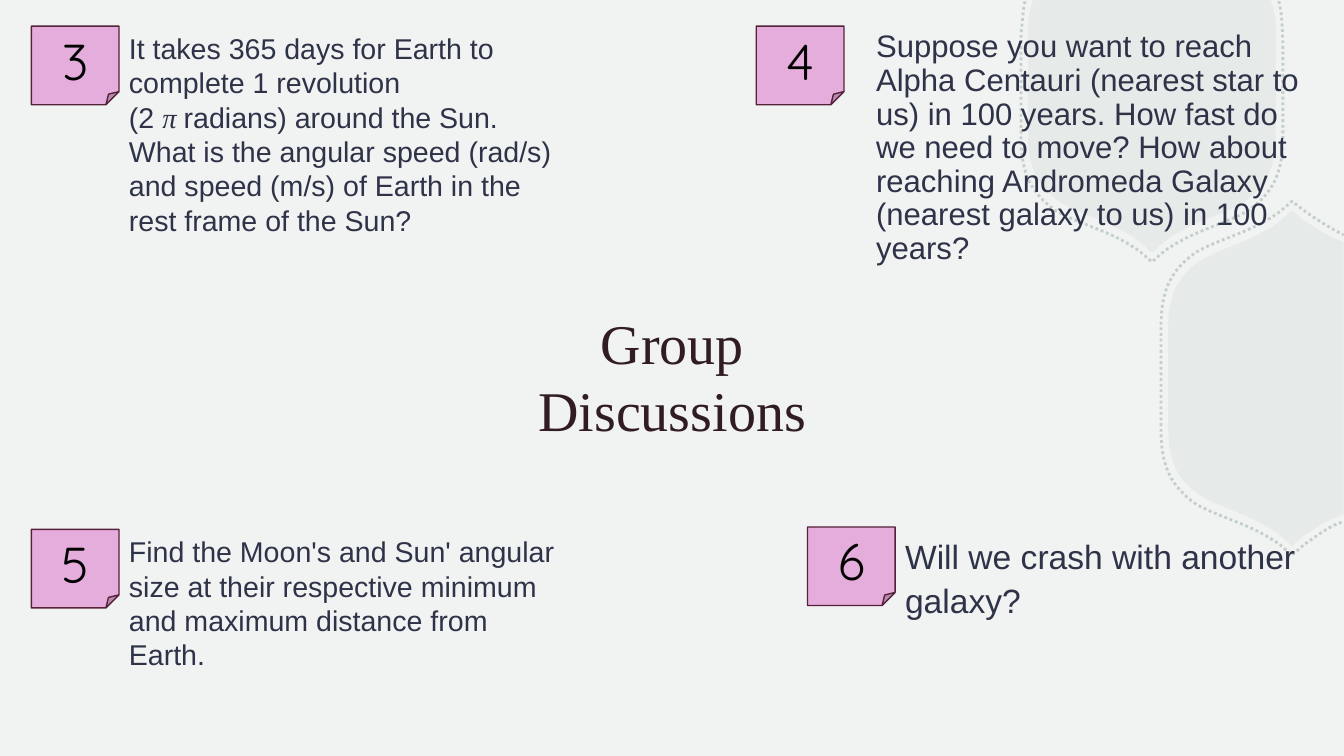
from dataclasses import dataclass

from lxml.etree import SubElement
from pptx import Presentation
from pptx.dml.color import RGBColor
from pptx.enum.dml import MSO_LINE
from pptx.enum.shapes import MSO_SHAPE as Shape
from pptx.enum.text import MSO_ANCHOR as Anchor, PP_ALIGN as Align
from pptx.oxml.ns import qn
from pptx.util import Cm, Pt

TITLE = "Group Discussions"
QUESTIONS = [
    dict(number="3", left=0.79, top=0.66, gap=0, height=4.88, size=20.4, spacing=1.0,
         runs=["It takes 365 days for Earth to complete 1 revolution (2\u00a0", ("π\u00a0",),
               "radians) around the Sun. What is the angular speed (rad/s) and speed (m/s) "
               "of Earth in the rest frame of the Sun?"]),
    dict(number="4", left=19.06, top=0.66, gap=0.56, height=5.56, size=22.2, spacing=0.9,
         runs=["Suppose you want to reach Alpha Centauri (nearest star to us) in 100 years. "
               "How fast do we need to move? How about reaching Andromeda Galaxy "
               "(nearest galaxy to us) in 100 years?"]),
    dict(number="5", left=0.79, top=13.34, gap=0, height=3.53, size=20.4, spacing=1.0,
         runs=["Find the Moon's and Sun' angular size at their respective minimum "
               "and maximum distance from Earth."]),
    dict(number="6", left=20.35, top=13.28, gap=0, height=3.53, size=24, spacing=1.1,
         runs=["Will we crash with another galaxy?"]),
]
NOTE_WIDTH, NOTE_HEIGHT, QUESTION_WIDTH = 2.21, 1.98, 11.33
UPPER_CENTRE, LOWER_CENTRE = (29.03, 2.14), (32.56, 9.53)
TILE_QUARTER = [(0, 4.23), (0.28, 3.98), (0.97, 3.44), (1.73, 3.31),
                (2.31, 2.96), (2.87, 2.58), (3.12, 2.12), (3.12, 1.23)]
DOTTED_QUARTER = [(0, 4.46), (0.3, 4.2), (1.02, 3.67), (1.83, 3.52),
                  (2.44, 3.16), (3.02, 2.73), (3.3, 2.27), (3.3, 1.31)]
UPPER_TILE_END = [(25.91, 0.91), (25.91, 0.58), (25.93, 0.3), (26.01, 0.08), (26.04, 0),
                  (32.03, 0), (32.05, 0.08), (32.13, 0.3), (32.16, 0.58), (32.16, 0.91)]
LOWER_TILE_END = [(32.84, 5.54), (33.02, 5.66), (33.2, 5.77), (33.35, 5.87), (33.86, 6.1),
                  (33.86, 12.95), (33.35, 13.18), (33.2, 13.28), (33.02, 13.39), (32.84, 13.51)]
UPPER_DOTTED_START = [(32.23, 0.03), (32.33, 0.48), (32.31, 0.76), (32.33, 1.12)]
UPPER_DOTTED_END = [(25.73, 0.84), (25.76, 0.66), (25.78, 0.23), (25.83, 0.03)]
LOWER_DOTTED_START = [(33.81, 13.16), (33.48, 13.26), (33.07, 13.59), (32.87, 13.72)]
LOWER_DOTTED_END = [(32.87, 5.31), (33.07, 5.46), (33.5, 5.74), (33.86, 5.92)]


@dataclass(frozen=True)
class Theme:
    background: str = "F0F3F2"
    tile: str = "ADBDB8"
    title: str = "311B25"
    body: str = "2F3348"
    note: str = "E4ADDC"
    note_line: str = "552239"
    digit: str = "000000"
    sans: str = "Arial"
    serif: str = "Times New Roman"
    rounded: str = "Quicksand"
    title_size: float = 40
    digit_size: float = 36


theme = Theme()


def rgb(colour):
    return RGBColor.from_string(colour)


def write(shape, runs, *, size, font, colour, align=Align.LEFT, anchor=Anchor.TOP, spacing=None):
    frame = shape.text_frame
    frame.word_wrap = True
    frame.vertical_anchor = anchor
    paragraph = frame.paragraphs[0]
    paragraph.alignment = align
    paragraph.line_spacing = spacing
    for part in runs:
        symbol = isinstance(part, tuple)
        run = paragraph.add_run()
        run.text = part[0] if symbol else part
        run.font.size = Pt(size)
        run.font.name = theme.serif if symbol else font
        run.font.italic = symbol
        run.font.color.rgb = rgb(colour)


def set_alpha(fill_parent, percent):
    colour = next(fill_parent.iter(qn("a:srgbClr")))
    SubElement(colour, qn("a:alpha"), val=str(percent * 1000))


def mirror(quarter, centre, sx, sy):
    return [(centre[0] + sx * x, centre[1] + sy * y) for x, y in quarter]


def bottom_half(quarter, centre):
    right, left = mirror(quarter, centre, 1, 1), mirror(quarter, centre, -1, 1)
    return right[::-1] + left[1:], "CCLLCC"


def left_half(quarter, centre):
    lower, upper = mirror(quarter, centre, -1, 1), mirror(quarter, centre, -1, -1)
    return lower + upper[::-1], "LCCLCCL"


def draw_outline(slide, points, segments, close):
    corners = [(Cm(x), Cm(y)) for x, y in points]
    builder = slide.shapes.build_freeform(*corners[0])
    builder.add_line_segments(corners[1:], close=close)
    shape = builder.convert_to_shape()
    shape.shadow.inherit = False
    lines = iter(list(shape._element.iter(qn("a:lnTo"))))
    for segment in segments:
        line = next(lines)
        if segment == "C":
            line.addprevious(curve := line.makeelement(qn("a:cubicBezTo")))
            for control in (line, next(lines), next(lines)):
                curve.append(control[0])
                control.getparent().remove(control)
    return shape


def add_tile(slide, half, end):
    points, segments = half
    tile = draw_outline(slide, points + end, segments + "LCLLLC", True)
    tile.fill.solid()
    tile.fill.fore_color.rgb = rgb(theme.tile)
    set_alpha(tile.fill._xPr.find(qn("a:solidFill")), 15)
    tile.line.fill.background()


def add_dotted_border(slide, start, half, end):
    points, segments = half
    border = draw_outline(slide, start + points + end, "CL" + segments + "LC", False)
    border.fill.background()
    border.line.color.rgb = rgb(theme.tile)
    border.line.width = Pt(2)
    border.line.dash_style = MSO_LINE.ROUND_DOT
    set_alpha(border.line._ln, 65)


def add_question(slide, question):
    left, top = question["left"], question["top"]
    body = slide.shapes.add_textbox(Cm(left + NOTE_WIDTH + question["gap"]), Cm(top),
                                    Cm(QUESTION_WIDTH), Cm(question["height"]))
    write(body, question["runs"], size=question["size"], font=theme.sans,
          colour=theme.body, spacing=question["spacing"])
    note = slide.shapes.add_shape(Shape.FOLDED_CORNER, Cm(left), Cm(top),
                                  Cm(NOTE_WIDTH), Cm(NOTE_HEIGHT))
    note.shadow.inherit = False
    note.fill.solid()
    note.fill.fore_color.rgb = rgb(theme.note)
    note.line.color.rgb = rgb(theme.note_line)
    note.line.width = Pt(1)
    note.text_frame.margin_top = Cm(0.18)
    write(note, [question["number"]], size=theme.digit_size, font=theme.rounded,
          colour=theme.digit, align=Align.CENTER, anchor=Anchor.MIDDLE)


def main():
    deck = Presentation()
    deck.slide_width, deck.slide_height = Cm(33.87), Cm(19.05)
    slide = deck.slides.add_slide(deck.slide_layouts[6])
    slide.background.fill.solid()
    slide.background.fill.fore_color.rgb = rgb(theme.background)
    add_tile(slide, bottom_half(TILE_QUARTER, UPPER_CENTRE), UPPER_TILE_END)
    add_tile(slide, left_half(TILE_QUARTER, LOWER_CENTRE), LOWER_TILE_END)
    add_dotted_border(slide, UPPER_DOTTED_START, bottom_half(DOTTED_QUARTER, UPPER_CENTRE),
                      UPPER_DOTTED_END)
    add_dotted_border(slide, LOWER_DOTTED_START, left_half(DOTTED_QUARTER, LOWER_CENTRE),
                      LOWER_DOTTED_END)
    title = slide.shapes.add_textbox(Cm(12.04), Cm(7.75), Cm(9.8), Cm(3.53))
    write(title, [TITLE], size=theme.title_size, font=theme.serif, colour=theme.title,
          align=Align.CENTER, anchor=Anchor.BOTTOM, spacing=1.0)
    for question in QUESTIONS:
        add_question(slide, question)
    deck.save("out.pptx")


if __name__ == "__main__":
    main()
